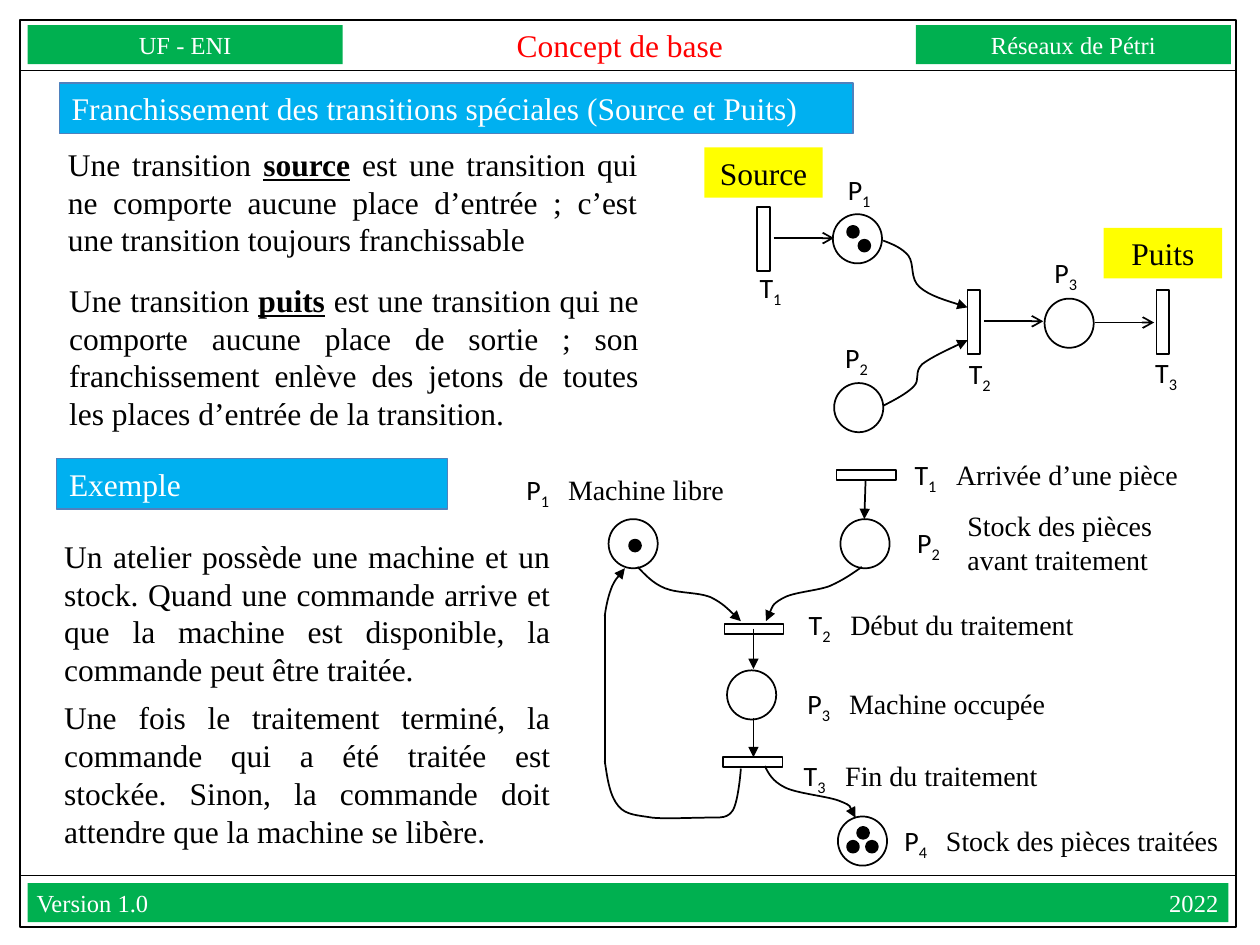
from collections import namedtuple

from lxml import etree
from pptx import Presentation
from pptx import util as u
from pptx.dml import color
from pptx.enum import shapes, text
from pptx.oxml import ns

PX = 9144
SERIF, SANS = "Times New Roman", "Calibri"
COLORS = {"ink": "000000", "paper": "FFFFFF", "bar": "00B050", "heading": "00B0F0",
          "edge": "4F81BD", "title": "FF0000", "caption": "FFFF00"}
LEFT, CENTER, JUSTIFY = text.PP_ALIGN.LEFT, text.PP_ALIGN.CENTER, text.PP_ALIGN.JUSTIFY
TOP, MIDDLE = text.MSO_ANCHOR.TOP, text.MSO_ANCHOR.MIDDLE
RECT, OVAL = shapes.MSO_SHAPE.RECTANGLE, shapes.MSO_SHAPE.OVAL


class Box(namedtuple("Box", "left top width height")):
    """A rectangle in px that can place parts inside itself."""

    def inner(self, left, top, width, height):
        """Return a box given relative to this one."""
        return Box(self.left + left, self.top + top, width, height)

    def point(self, spot):
        """Return a relative point in EMU."""
        return (self.left + spot[0]) * PX, (self.top + spot[1]) * PX

    def emu(self):
        """Return the four lengths in EMU."""
        return [length * PX for length in self]


def rgb(name):
    """Look up a colour by its role."""
    return color.RGBColor.from_string(COLORS[name])


def add_element(parent, tag, **attributes):
    """Append a drawing element to its parent."""
    return etree.SubElement(parent, ns.qn("a:" + tag), **attributes)


def set_tab(para, position, align):
    """Give a paragraph one tab stop."""
    tabs = add_element(para._p.get_or_add_pPr(), "tabLst")
    add_element(tabs, "tab", pos=str(position * PX), algn=align)


def style_span(span, size, ink="ink", face=SERIF):
    """Set the size, colour and face of a run."""
    span.font.size, span.font.name = u.Pt(size), face
    span.font.color.rgb = rgb(ink)


def write(shape, words, size, ink="ink", align=LEFT, anchor=TOP, inset=None):
    """Fill a shape with uniformly formatted text."""
    frame = shape.text_frame
    frame.text = words
    frame.word_wrap = True
    frame.auto_size = text.MSO_AUTO_SIZE.SHAPE_TO_FIT_TEXT
    frame.vertical_anchor = anchor
    if inset is not None:
        frame.margin_left = frame.margin_right = inset * PX
        frame.margin_top = frame.margin_bottom = 0
    for para in frame.paragraphs:
        para.alignment = align
        for span in para.runs:
            style_span(span, size, ink)
    return frame


def add_block(page, box, kind=RECT, fill=None, edge=None, weight=1):
    """Add a flat preset shape."""
    shape = page.shapes.add_shape(kind, *box.emu())
    shape.shadow.inherit = False
    if fill:
        shape.fill.solid()
        shape.fill.fore_color.rgb = rgb(fill)
    else:
        shape.fill.background()
    if edge:
        shape.line.color.rgb, shape.line.width = rgb(edge), u.Pt(weight)
    else:
        shape.line.fill.background()
    return shape


def set_stroke(shape, weight, head):
    """Draw a black stroke with an optional arrowhead."""
    shape.line.color.rgb, shape.line.width = rgb("ink"), u.Pt(weight)
    if head:
        add_element(shape.line._get_or_add_ln(), "tailEnd", type=head)


def add_line(page, box, start, end, head=None, weight=1):
    """Add a straight line between two relative points."""
    line = page.shapes.add_connector(shapes.MSO_CONNECTOR.STRAIGHT,
                                     *box.point(start), *box.point(end))
    set_stroke(line, weight, head)
    add_element(line._element.spPr, "effectLst")


def add_curve(page, box, spots, head="triangle"):
    """Add an open chain of cubic Bézier segments, three points to each."""
    start, *knots = [box.point(spot) for spot in spots]
    builder = page.shapes.build_freeform(*start)
    builder.add_line_segments(knots, close=False)
    curve = builder.convert_to_shape()
    outline = next(curve._element.iter(ns.qn("a:path")))
    sides = outline.findall(ns.qn("a:lnTo"))
    for first in range(0, len(sides), 3):
        bend = add_element(outline, "cubicBezTo")
        for side in sides[first:first + 3]:
            bend.append(side[0])
            outline.remove(side)
    curve.shadow.inherit = False
    curve.fill.background()
    set_stroke(curve, 1, head)


def add_nodes(page, box, places, bars, bar_size, tokens):
    """Add the places, transitions and tokens of a net."""
    for spot in places:
        add_block(page, box.inner(*spot, 39, 39), OVAL, edge="ink")
    for spot in bars:
        add_block(page, box.inner(*spot, *bar_size), edge="ink")
    for spot in tokens:
        add_block(page, box.inner(*spot, 8, 8), OVAL, "ink", "ink", 2)


def add_label(page, box, name, caption=""):
    """Name a node with a subscript and an optional caption."""
    frame = write(page.shapes.add_textbox(*box.emu()), name[0], 16)
    para = frame.paragraphs[0]
    para.runs[0].font.name = SANS
    index = para.add_run()
    index.text = name[1]
    style_span(index, 16, face=SANS)
    index.font._element.set("baseline", "-25000")
    if caption:
        set_tab(para, 33, "l")
        span = para.add_run()
        span.text = "\t" + caption
        style_span(span, 16)


def draw_frame(page, box):
    """Draw the border, header and footer."""
    add_block(page, box, edge="ink")
    for level in (40, 679):
        add_line(page, box, (0, level), (964, level), weight=0.75)
    for left, words in ((6, "UF - ENI"), (711, "Réseaux de Pétri")):
        bar = add_block(page, box.inner(left, 4, 250, 31), fill="bar")
        write(bar, words, 14, "paper", CENTER, MIDDLE, 0)
    footer = add_block(page, box.inner(6, 685, 953, 31), fill="bar")
    frame = write(footer, "Version 1.0\t2022", 14, "paper", LEFT, MIDDLE, 7)
    set_tab(frame.paragraphs[0], 938, "r")
    title = page.shapes.title
    title.left, title.top, title.width, title.height = box.inner(351, 4, 250, 31).emu()
    write(title, "Concept de base", 18, "title", CENTER, MIDDLE, 0)


def draw_heading(page, box, words):
    """Draw a blue section heading."""
    write(add_block(page, box, fill="heading", edge="edge", weight=0.75), words, 18, "paper")


def draw_definition(page, box, term, rest):
    """Write a definition with its term emphasised."""
    frame = write(page.shapes.add_textbox(*box.emu()), "Une transition ", 18, align=JUSTIFY)
    for words, strong in ((term, True), (rest, False)):
        span = frame.paragraphs[0].add_run()
        span.text = words
        style_span(span, 18)
        span.font.bold = span.font.underline = strong


def draw_story(page, box, words):
    """Write the example in the body placeholder."""
    body = page.placeholders[1]
    body.left, body.top, body.width, body.height = box.emu()
    for para in write(body, words, 18, align=JUSTIFY).paragraphs:
        para.space_before, para.space_after = u.Pt(0), u.Pt(6)
        properties = para._p.get_or_add_pPr()
        properties.set("marL", "0")
        properties.set("indent", "0")
        add_element(properties, "buNone")


def draw_source_sink_net(page, box):
    """Draw the net with a source and a sink transition."""
    add_nodes(page, box, [(111, 60), (112, 194), (279, 127)],
              [(51, 54), (218, 120), (368, 120)], (10, 51), [(123, 70), (132, 81)])
    for left, right, level in ((64, 112, 79), (231, 278, 145), (319, 366, 146)):
        add_line(page, box, (left, level), (right, level), "arrow")
    add_curve(page, box, [(151, 81), (159, 84), (166, 87), (171, 93), (176, 100),
                          (172, 111), (180, 118), (188, 125), (218, 134), (218, 134)])
    add_curve(page, box, [(151, 212), (161, 207), (170, 202), (175, 197), (181, 191),
                          (175, 186), (182, 179), (190, 173), (218, 160), (218, 160)])
    for name, left, top in (("T1", 43, 100), ("T2", 209, 168), ("T3", 357, 167),
                            ("P1", 113, 22), ("P2", 111, 155), ("P3", 277, 88)):
        add_label(page, box.inner(left, top, 48, 37), name)
    for words, left, top in (("Source", 9, 7), ("Puits", 326, 71)):
        caption = add_block(page, box.inner(left, top, 94, 40), fill="caption")
        write(caption, words, 18, align=CENTER)


def draw_workshop_net(page, box):
    """Draw the net of the machine and its stock."""
    add_nodes(page, box, [(83, 62), (267, 62), (177, 182), (265, 298)],
              [(264, 23), (175, 145), (174, 251)], (47, 8),
              [(100, 79), (281, 307), (273, 318), (288, 318)])
    for start, end in (((287, 31), (286, 62)), ((198, 149), (198, 181)), ((198, 220), (198, 251))):
        add_line(page, box, start, end, "triangle")
    add_line(page, box, (80, 138), (80, 256))
    add_curve(page, box, [(284, 100), (277, 105), (270, 110), (259, 115), (249, 119),
                          (229, 120), (221, 125), (212, 130), (208, 143), (208, 143)])
    add_curve(page, box, [(106, 100), (112, 106), (118, 113), (128, 117), (138, 121),
                          (154, 120), (164, 124), (174, 129), (188, 143), (188, 143)])
    add_curve(page, box, [(80, 254), (82, 268), (84, 282), (91, 290), (97, 297), (106, 297),
                          (118, 299), (129, 300), (147, 299), (158, 299), (168, 298),
                          (176, 301), (181, 294), (186, 288), (188, 260), (188, 260)], None)
    add_curve(page, box, [(80, 139), (81, 131), (83, 122), (86, 115), (89, 109),
                          (96, 101), (96, 101)])
    add_curve(page, box, [(207, 258), (210, 264), (213, 270), (223, 275), (233, 280),
                          (258, 282), (267, 286), (277, 290), (279, 299), (279, 299)])
    for name, left, top, width, caption in (
            ("T1", 316, 8, 258, "Arrivée d’une pièce"), ("P1", 8, 20, 192, "Machine libre"),
            ("P2", 318, 62, 48, ""), ("T2", 232, 127, 258, "Début du traitement"),
            ("P3", 231, 190, 231, "Machine occupée"), ("T3", 228, 247, 258, "Fin du traitement"),
            ("P4", 308, 299, 283, "Stock des pièces traitées")):
        add_label(page, box.inner(left, top, width, 37), name, caption)
    stock = page.shapes.add_textbox(*box.inner(358, 49, 172, 64).emu())
    write(stock, "Stock des pièces\navant traitement", 16)


def main():
    """Build the slide and save it."""
    deck = Presentation()
    deck.slide_width, deck.slide_height = 1000 * PX, 750 * PX
    page = deck.slides.add_slide(deck.slide_layouts[1])
    draw_frame(page, Box(16, 16, 965, 720))
    draw_heading(page, Box(47, 66, 630, 40),
                 "Franchissement des transitions spéciales (Source et Puits)")
    draw_definition(page, Box(44, 110, 472, 101), "source",
                    " est une transition qui ne comporte aucune place d’entrée ; "
                    "c’est une transition toujours franchissable")
    draw_definition(page, Box(45, 218, 472, 131), "puits",
                    " est une transition qui ne comporte aucune place de sortie ; son franchissement "
                    "enlève des jetons de toutes les places d’entrée de la transition.")
    draw_heading(page, Box(45, 364, 310, 40), "Exemple")
    draw_story(page, Box(41, 421, 406, 261),
               "Un atelier possède une machine et un stock. Quand une commande arrive et que "
               "la machine est disponible, la commande peut être traitée.\n"
               "Une fois le traitement terminé, la commande qui a été traitée est stockée. "
               "Sinon, la commande doit attendre que la machine se libère.")
    draw_source_sink_net(page, Box(550, 110, 430, 240))
    draw_workshop_net(page, Box(400, 350, 580, 345))
    deck.save("out.pptx")


if __name__ == "__main__":
    main()
